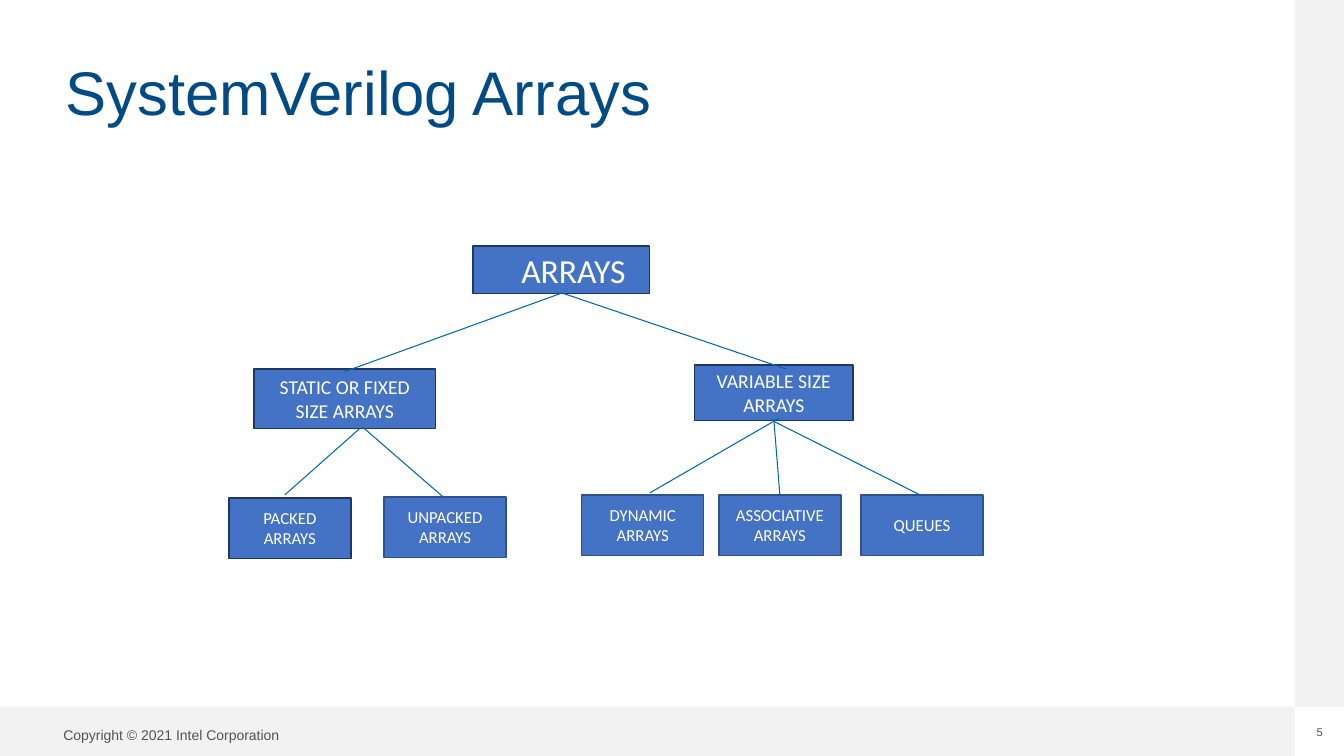
import pptx
import pptx.dml.color
import pptx.enum.shapes
import pptx.enum.text
import pptx.oxml
import pptx.oxml.ns
import pptx.util
from collections import namedtuple
from dataclasses import dataclass

Box = namedtuple("Box", "x y w h")
Node = namedtuple("Node", "text box size edge")
ALIGN = pptx.enum.text.PP_ALIGN
ANCHOR = pptx.enum.text.MSO_ANCHOR

COLS, ROWS = 133.3, 75  # grid cells of a tenth of an inch


@dataclass(frozen=True)
class Theme:
    heading: str = "Arial"
    body: str = "Calibri"
    title: str = "004A86"
    band: str = "F2F2F2"
    muted: str = "525252"
    node: str = "4472C4"
    dark_edge: str = "1F3763"
    edge: str = "2F528F"
    link: str = "0066B1"
    white: str = "FFFFFF"
    title_pt: int = 44
    root_pt: int = 24
    branch_pt: int = 14
    leaf_pt: int = 12
    footer_pt: int = 10
    number_pt: int = 8


THEME = Theme()

# Boxes are in cells, relative to the tree's own box.
NODES = {
    "root": Node("ARRAYS", Box(24.2, 0, 17.5, 4.7), THEME.root_pt, THEME.dark_edge),
    "static": Node("STATIC OR FIXED SIZE ARRAYS", Box(2.5, 12.2, 18, 5.9),
                   THEME.branch_pt, THEME.dark_edge),
    "variable": Node("VARIABLE SIZE ARRAYS", Box(46.2, 11.8, 15.7, 5.5),
                     THEME.branch_pt, THEME.dark_edge),
    "packed": Node("PACKED ARRAYS", Box(0, 25, 12.1, 6), THEME.leaf_pt, THEME.dark_edge),
    "unpacked": Node("UNPACKED ARRAYS", Box(15.4, 24.9, 12.1, 6), THEME.leaf_pt, THEME.edge),
    "dynamic": Node("DYNAMIC ARRAYS", Box(35, 24.7, 12.1, 6), THEME.leaf_pt, THEME.edge),
    "associative": Node("ASSOCIATIVE ARRAYS", Box(48.6, 24.7, 12.1, 6),
                        THEME.leaf_pt, THEME.edge),
    "queues": Node("QUEUES", Box(62.7, 24.7, 12.1, 6), THEME.leaf_pt, THEME.edge),
}

# Parent, child, then the shift of each end from the middle of the node's side.
LINKS = [
    ("root", "static", (0, 0), (-0.1, 0.3)),
    ("root", "variable", (0.2, 0), (1.2, 0.4)),
    ("static", "packed", (1.5, 0), (-0.5, -0.3)),
    ("static", "unpacked", (1.8, -0.1), (-0.2, 0)),
    ("variable", "dynamic", (0.5, -0.2), (0.7, -0.2)),
    ("variable", "associative", (0, -0.1), (0, 0)),
    ("variable", "queues", (0, 0.1), (0, 0.1)),
]


def cells(n):
    return pptx.util.Inches(n / 10)


def place(box):
    return [cells(n) for n in box]


def rgb(code):
    return pptx.dml.color.RGBColor.from_string(code)


def write(tf, text, *, size, color, font=THEME.body, align=ALIGN.LEFT,
          anchor=ANCHOR.TOP, spacing=None, wrap=True, margins=None):
    tf.word_wrap = wrap
    tf.auto_size = pptx.enum.text.MSO_AUTO_SIZE.NONE
    tf.vertical_anchor = anchor
    if margins is not None:
        tf.margin_left = tf.margin_right = tf.margin_top = tf.margin_bottom = margins
    p = tf.paragraphs[0]
    p.alignment = align
    if spacing:
        p.line_spacing = spacing
    r = p.add_run()
    r.text = text
    r.font.name = font
    r.font.size = pptx.util.Pt(size)
    r.font.color.rgb = rgb(color)


def add_rect(s, box, fill, edge=None):
    sp = s.shapes.add_shape(pptx.enum.shapes.MSO_SHAPE.RECTANGLE, *place(box))
    sp.shadow.inherit = False
    sp.fill.solid()
    sp.fill.fore_color.rgb = rgb(fill)
    if edge:
        sp.line.color.rgb = rgb(edge)
        sp.line.width = pptx.util.Pt(1)
    else:
        sp.line.fill.background()
    return sp


def add_link(s, start, end):
    line = s.shapes.add_connector(pptx.enum.shapes.MSO_CONNECTOR.STRAIGHT,
                                  *place(start + end))
    line.line.color.rgb = rgb(THEME.link)
    line.line.width = pptx.util.Pt(0.75)
    line._element.spPr.append(
        pptx.oxml.parse_xml(f"<a:effectLst {pptx.oxml.ns.nsdecls('a')}/>"))


def add_frame(s, box, band):
    """Grey bands along the right and bottom, with copyright and page number."""
    right, bottom = box.x + box.w - band, box.y + box.h - band
    add_rect(s, Box(box.x, bottom, box.w - band, band), THEME.band)
    add_rect(s, Box(right, box.y, band, box.h - band), THEME.band)
    footer = s.shapes.add_textbox(*place(Box(box.x + 5.3, bottom + 1.7, 24.7, 2.5)))
    write(footer.text_frame, "Copyright © 2021 Intel Corporation", size=THEME.footer_pt,
          color=THEME.muted, font=THEME.heading, spacing=0.9, wrap=False)
    number = s.shapes.add_textbox(*place(Box(right + 1.8, bottom + 1.9, 1.4, 1.3)))
    write(number.text_frame, "5", size=THEME.number_pt, color=THEME.muted,
          font=THEME.heading, align=ALIGN.CENTER, wrap=False, margins=0)


def add_title(s, box, text):
    sp = s.shapes.title
    sp.left, sp.top, sp.width, sp.height = place(box)
    write(sp.text_frame, text, size=THEME.title_pt, color=THEME.title,
          font=THEME.heading, spacing=0.9, margins=0)


def add_tree(s, box):
    placed = {}
    for name, node in NODES.items():
        b = node.box
        placed[name] = Box(box.x + b.x, box.y + b.y, b.w, b.h)
        sp = add_rect(s, placed[name], THEME.node, node.edge)
        is_root = name == "root"
        write(sp.text_frame, node.text, size=node.size, color=THEME.white,
              align=ALIGN.LEFT if is_root else ALIGN.CENTER, anchor=ANCHOR.MIDDLE)
        if is_root:
            sp.text_frame.margin_left = cells(4.8)
    for parent, child, (dx, dy), (ex, ey) in LINKS:
        a, b = placed[parent], placed[child]
        add_link(s, (a.x + a.w / 2 + dx, a.y + a.h + dy), (b.x + b.w / 2 + ex, b.y + ey))


def main():
    prs = pptx.Presentation()
    prs.slide_width, prs.slide_height = cells(COLS), cells(ROWS)
    s = prs.slides.add_slide(prs.slide_layouts[5])
    add_frame(s, Box(0, 0, COLS, ROWS), band=4.9)
    add_title(s, Box(6.5, 6.2, 120, 9.7), "SystemVerilog Arrays")
    add_tree(s, Box(22.7, 24.4, 74.8, 31))
    prs.save("out.pptx")


if __name__ == "__main__":
    main()
